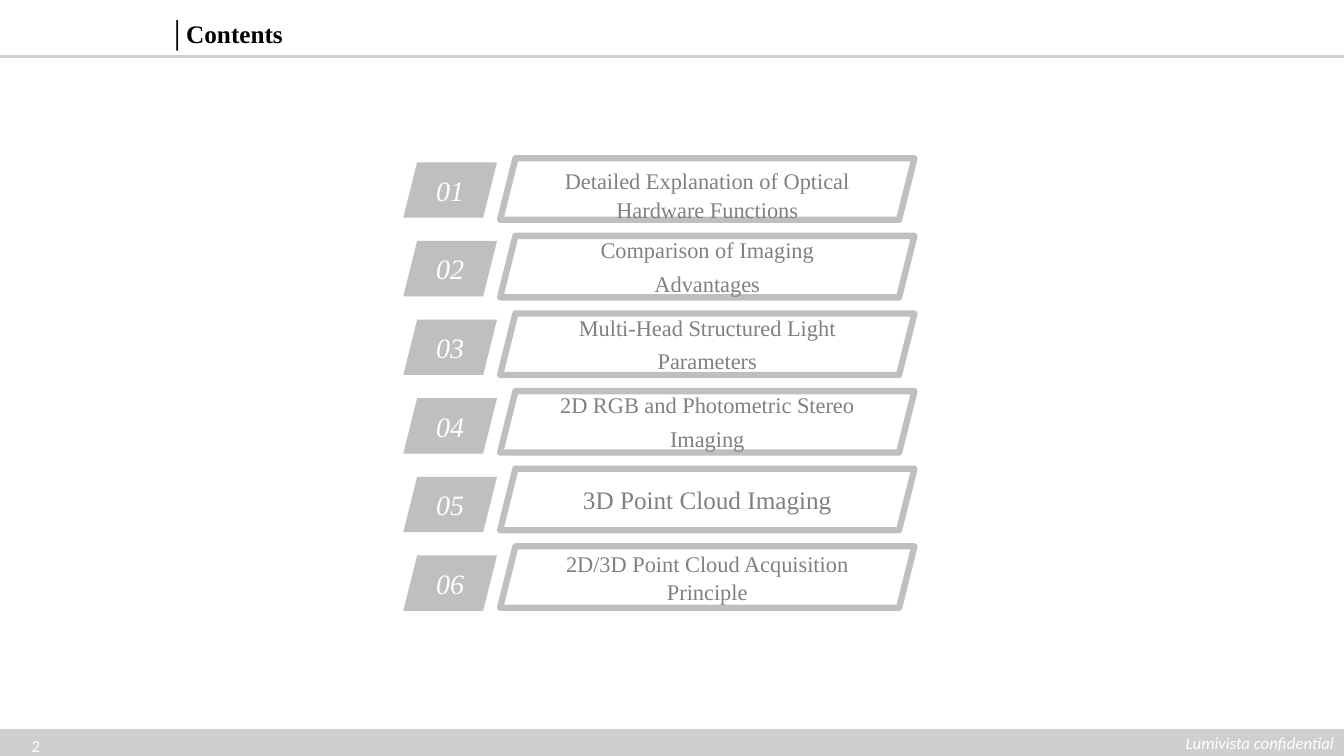
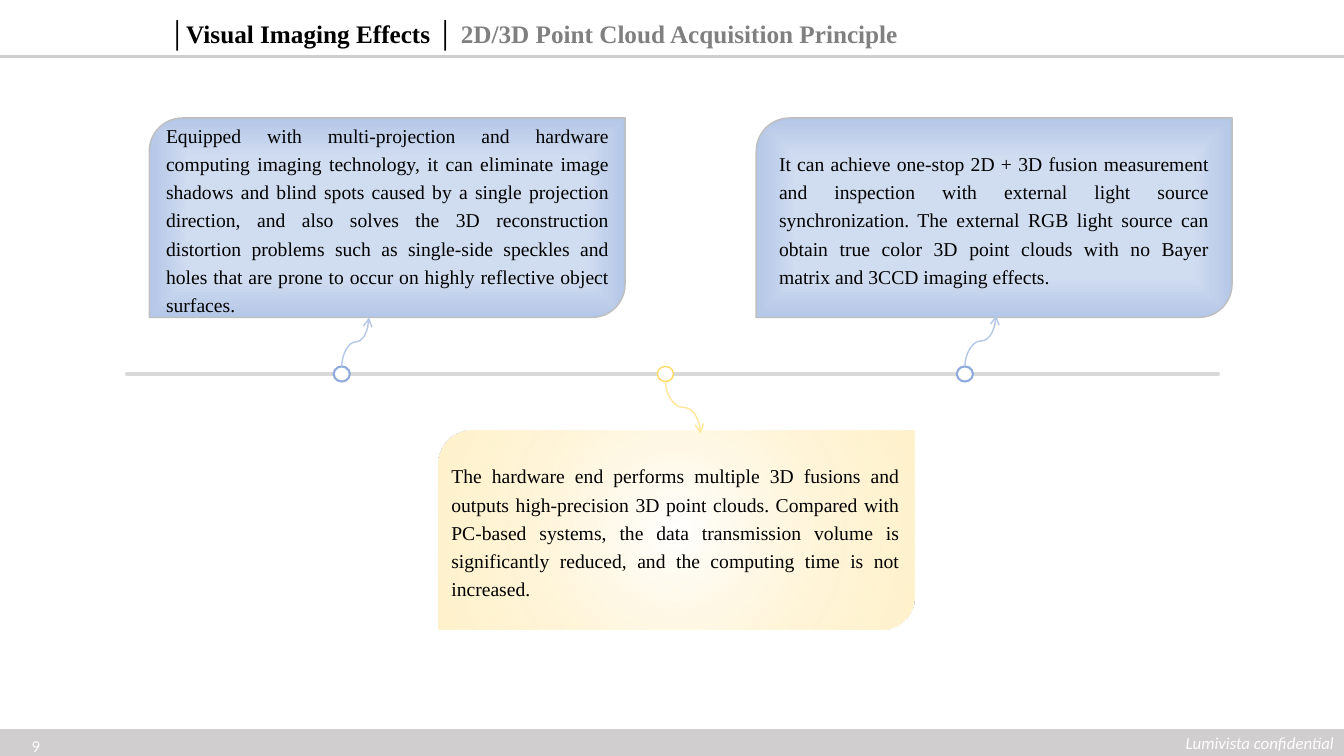
from lxml import etree
from pptx import Presentation
from pptx.dml.color import RGBColor
from pptx.enum.shapes import MSO_CONNECTOR, MSO_SHAPE
from pptx.enum.text import MSO_ANCHOR, MSO_AUTO_SIZE, PP_ALIGN
from pptx.oxml import parse_xml
from pptx.oxml.ns import nsdecls, qn
from pptx.util import Inches, Pt

WIDTH, HEIGHT = 13.33, 7.5
SERIF, SANS = "Times New Roman", "Calibri"

BLACK = RGBColor(0x00, 0x00, 0x00)
WHITE = RGBColor(0xFF, 0xFF, 0xFF)
BAND_GREY = RGBColor(0xD0, 0xCE, 0xCE)
BOX_GREY = RGBColor(0xBF, 0xBF, 0xBF)
TEXT_GREY = RGBColor(0x80, 0x80, 0x80)
AXIS_GREY = RGBColor(0xD9, 0xD9, 0xD9)
PALE_BLUE = RGBColor(0xD0, 0xDC, 0xF0)
SOFT_BLUE = RGBColor(0xB4, 0xC7, 0xE7)
DEEP_BLUE = RGBColor(0x36, 0x60, 0xAB)
RING_BLUE = RGBColor(0x8F, 0xAA, 0xDC)
CREAM = RGBColor(0xFF, 0xF2, 0xCC)
RING_GOLD = RGBColor(0xFF, 0xD9, 0x66)
ARROW_GOLD = RGBColor(0xFF, 0xE6, 0x99)

# Gradient stops: position in percent, colour, opacity in percent
BLUE_GLOW = ("rect", [(60, PALE_BLUE, 100), (100, SOFT_BLUE, 100), (100, DEEP_BLUE, 100)])
CREAM_GLOW = ("circle", [(0, WHITE, 100), (61, CREAM, 78), (100, CREAM, 100)])

# Agenda entries: text, size, line spacing, top and bottom margin
AGENDA = [
    ("Detailed Explanation of Optical Hardware Functions", 16, 1.08, 0.15, 0.05),
    ("Comparison of Imaging Advantages", 16, 1.25, 0.05, 0.12),
    ("Multi-Head Structured Light Parameters", 16, 1.25, 0.05, 0.12),
    ("2D RGB and Photometric Stereo Imaging", 16, 1.25, 0.05, 0.12),
    ("3D Point Cloud Imaging", 18, 1, 0.05, 0.05),
    ("2D/3D Point Cloud Acquisition Principle", 16, 1.05, 0.05, 0.05),
]

CARD_WIDTH, CARD_HEIGHT = 4.72, 1.98
UPPER_TOP, LOWER_TOP = 1.17, 4.27
AXIS_Y = 3.71
RING_WIDTH, RING_HEIGHT = 0.16, 0.15

# Cards: left, top, gradient, outline, left and right margin, text
CARDS = [
    (1.48, UPPER_TOP, BLUE_GLOW, BOX_GREY, 0.07, 0.06,
     "Equipped with multi-projection and hardware computing imaging technology, it can "
     "eliminate image shadows and blind spots caused by a single projection direction, and "
     "also solves the 3D reconstruction distortion problems such as single-side speckles and "
     "holes that are prone to occur on highly reflective object surfaces."),
    (7.5, UPPER_TOP, BLUE_GLOW, BOX_GREY, 0.13, 0.13,
     "It can achieve one-stop 2D + 3D fusion measurement and inspection with external light "
     "source synchronization. The external RGB light source can obtain true color 3D point "
     "clouds with no Bayer matrix and 3CCD imaging effects."),
    (4.35, LOWER_TOP, CREAM_GLOW, None, 0.03, 0.05,
     "The hardware end performs multiple 3D fusions and outputs high-precision 3D point "
     "clouds. Compared with PC-based systems, the data transmission volume is significantly "
     "reduced, and the computing time is not increased."),
]

# Milestones: ring centre, ring colour and width, arrow tip, arrow colour
MILESTONES = [
    (3.39, RING_BLUE, 1.5, (3.66, 3.15), SOFT_BLUE),
    (9.57, RING_BLUE, 1.5, (9.88, 3.13), SOFT_BLUE),
    (6.6, RING_GOLD, 1, (6.95, 4.3), ARROW_GOLD),
]


def write(frame, *pieces, size=14, font=SERIF, bold=False, italic=False, align=PP_ALIGN.CENTER,
          anchor=MSO_ANCHOR.MIDDLE, spacing=1, after=0, margins=(0.1, 0.05, 0.1, 0.05)):
    """Fill the frame with one paragraph of (text, colour) pieces; margins run left to bottom."""
    frame.word_wrap = True
    frame.auto_size = MSO_AUTO_SIZE.NONE
    frame.vertical_anchor = anchor
    (frame.margin_left, frame.margin_top,
     frame.margin_right, frame.margin_bottom) = map(Inches, margins)
    paragraph = frame.paragraphs[0]
    paragraph.alignment = align
    paragraph.line_spacing = spacing
    paragraph.space_after = Pt(after)
    for text, color in pieces:
        run = paragraph.add_run()
        run.text = text
        run.font.name, run.font.size = font, Pt(size)
        run.font.bold, run.font.italic = bold, italic
        run.font.color.rgb = color


def add_block(slide, kind, box, fill=None, line=None, weight=1):
    block = slide.shapes.add_shape(kind, *map(Inches, box))
    block.shadow.inherit = False
    if fill is None:
        block.fill.background()
    else:
        block.fill.solid()
        block.fill.fore_color.rgb = fill
    if line is None:
        block.line.fill.background()
    else:
        block.line.color.rgb = line
        block.line.width = Pt(weight)
    return block


def add_line(slide, start, end, color, weight, kind=MSO_CONNECTOR.STRAIGHT):
    line = slide.shapes.add_connector(kind, *map(Inches, (*start, *end)))
    line.line.color.rgb = color
    line.line.width = Pt(weight)
    etree.SubElement(line.element.spPr, qn("a:effectLst"))
    return line


def outline_of(line):
    return line.element.spPr.find(qn("a:ln"))


def add_curved_arrow(slide, start, end, color):
    """Draw an S-curve that leaves and arrives vertically, by turning a horizontal one."""
    (x1, y1), (x2, y2) = start, end
    center_x, center_y = (x1 + x2) / 2, (y1 + y2) / 2
    half_run, half_rise = abs(y2 - y1) / 2, (x2 - x1) / 2
    upward = y2 < y1
    if not upward:
        half_rise = -half_rise
    arrow = add_line(slide, (center_x - half_run, center_y - half_rise),
                     (center_x + half_run, center_y + half_rise), color, 1, MSO_CONNECTOR.CURVE)
    turn = 270 if upward else 90
    arrow.element.spPr.find(qn("a:xfrm")).set("rot", str(turn * 60000))
    etree.SubElement(outline_of(arrow), qn("a:tailEnd"), type="arrow")


def set_glow(block, shape, stops):
    """Replace the empty fill by a gradient that spreads from the centre."""
    stop_xml = "".join(
        f'<a:gs pos="{position * 1000}"><a:srgbClr val="{color}">'
        f'<a:alpha val="{opacity * 1000}"/></a:srgbClr></a:gs>'
        for position, color, opacity in stops)
    gradient = parse_xml(
        f'<a:gradFill {nsdecls("a")} rotWithShape="1"><a:gsLst>{stop_xml}</a:gsLst>'
        f'<a:path path="{shape}"><a:fillToRect l="50000" t="50000" r="50000" b="50000"/>'
        '</a:path></a:gradFill>')
    properties = block.element.spPr
    properties.replace(properties.find(qn("a:noFill")), gradient)


def set_up_layout(layout, slide):
    """Place the title, and move the header rule and footer band into the layout."""
    title = layout.placeholders[0]
    title.left, title.top, title.width, title.height = map(Inches, (1.57, 0.13, 8.63, 0.4))
    rule = add_line(slide, (0, 0.56), (WIDTH, 0.56), BAND_GREY, 2.25)
    band = add_block(slide, MSO_SHAPE.RECTANGLE, (0, 7.24, WIDTH, 0.26), BAND_GREY, BAND_GREY)
    write(band.text_frame, ("Lumivista confidential", WHITE), size=12, font=SANS, italic=True,
          align=PP_ALIGN.RIGHT)
    for number, item in enumerate((rule, band), 101):
        item.element.xpath(".//p:cNvPr")[0].set("id", str(number))
        layout.shapes.element.append(item.element)


def add_heading(slide, page, *pieces):
    write(slide.shapes.title.text_frame, *pieces, size=18, bold=True, align=PP_ALIGN.LEFT,
          anchor=MSO_ANCHOR.TOP, after=6.5)
    page_box = slide.shapes.add_textbox(*map(Inches, (0.02, 7.3, 0.67, 0.2)))
    write(page_box.text_frame, (str(page), WHITE), size=12, font=SANS)


def build_contents(slide):
    add_heading(slide, 2, ("│Contents", BLACK))
    for row, (topic, size, spacing, top, bottom) in enumerate(AGENDA):
        number = add_block(slide, MSO_SHAPE.PARALLELOGRAM,
                           (4, 1.61 + 0.78 * row, 0.93, 0.55), BOX_GREY)
        write(number.text_frame, (f"{row + 1:02}", WHITE), size=20, italic=True)
        label = add_block(slide, MSO_SHAPE.PARALLELOGRAM,
                          (4.96, 1.57 + 0.77 * row, 4.11, 0.61), line=BOX_GREY, weight=4.5)
        write(label.text_frame, (topic, TEXT_GREY), size=size, spacing=spacing,
              margins=(0.1, top, 0.1, bottom))


def build_principle(slide):
    add_heading(slide, 9, ("│Visual Imaging Effects │ ", BLACK),
                ("2D/3D Point Cloud Acquisition Principle", TEXT_GREY))
    for left, top, glow, outline, margin_left, margin_right, text in CARDS:
        card = add_block(slide, MSO_SHAPE.ROUND_2_DIAG_RECTANGLE,
                         (left, top, CARD_WIDTH, CARD_HEIGHT), line=outline)
        set_glow(card, *glow)
        write(card.text_frame, (text, BLACK), align=PP_ALIGN.JUSTIFY, spacing=1.2,
              margins=(margin_left, 0, margin_right, 0))

    axis = add_line(slide, (1.26, AXIS_Y), (12.08, AXIS_Y), AXIS_GREY, 3)
    outline_of(axis).set("cap", "rnd")
    for x, ring_color, weight, tip, arrow_color in MILESTONES:
        add_block(slide, MSO_SHAPE.OVAL,
                  (x - RING_WIDTH / 2, AXIS_Y - RING_HEIGHT / 2, RING_WIDTH, RING_HEIGHT),
                  WHITE, ring_color, weight)
        side = -1 if tip[1] < AXIS_Y else 1
        add_curved_arrow(slide, (x, AXIS_Y + side * RING_HEIGHT / 2), tip, arrow_color)


def main():
    deck = Presentation()
    deck.slide_width, deck.slide_height = Inches(WIDTH), Inches(HEIGHT)
    title_only = deck.slide_layouts[5]
    contents, principle = (deck.slides.add_slide(title_only) for _ in range(2))
    set_up_layout(title_only, contents)
    build_contents(contents)
    build_principle(principle)
    deck.save("out.pptx")


if __name__ == "__main__":
    main()
